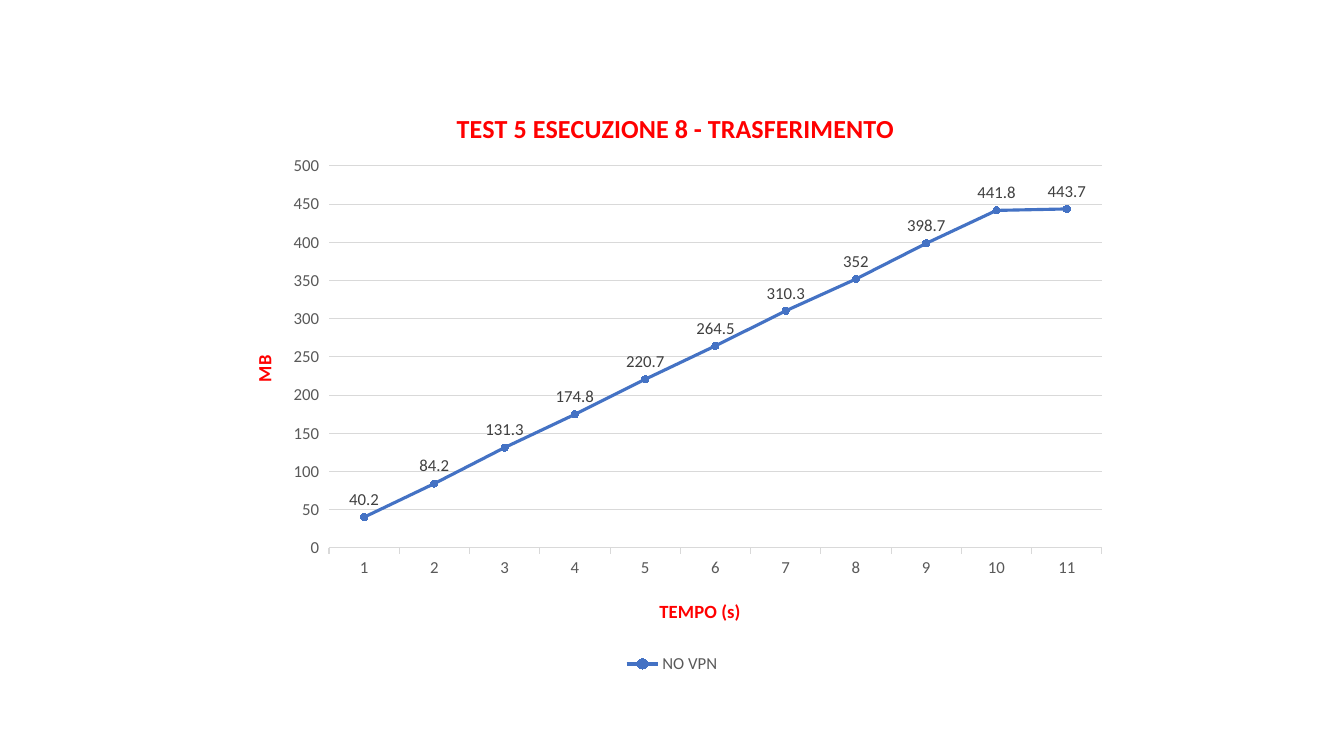
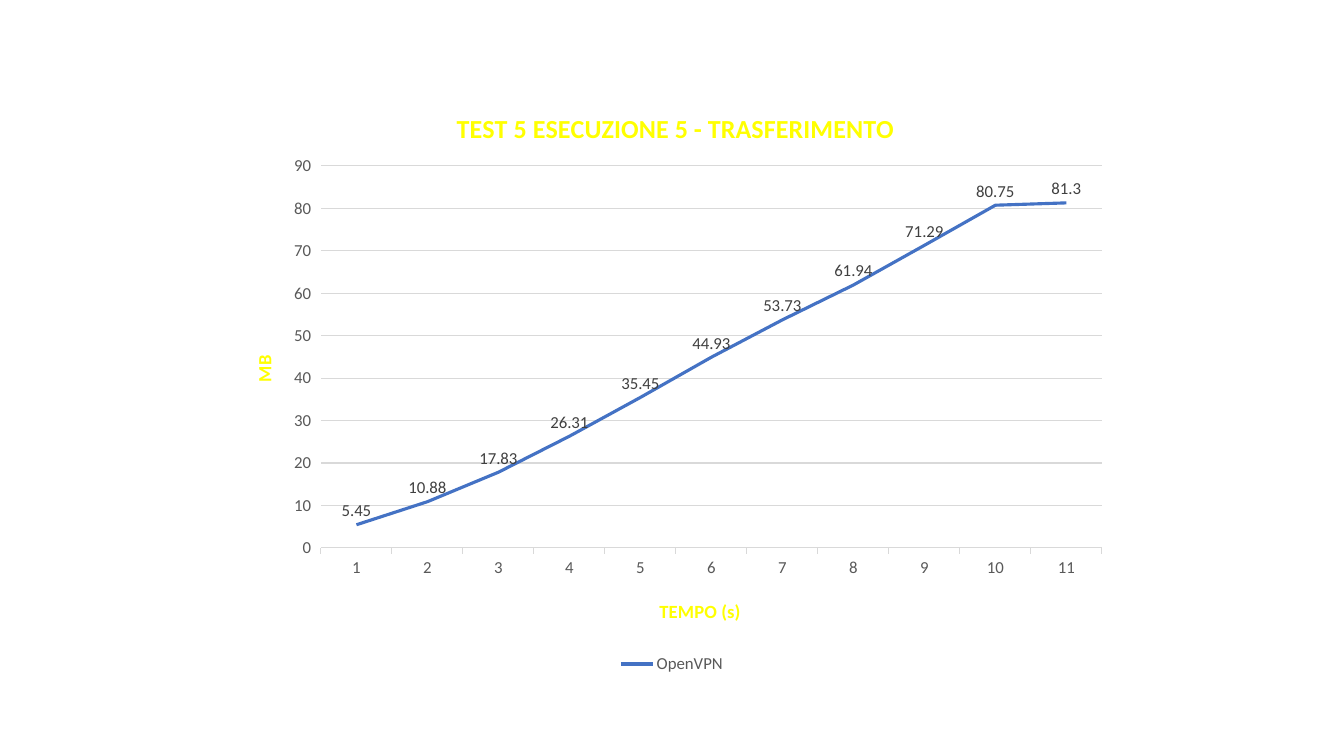
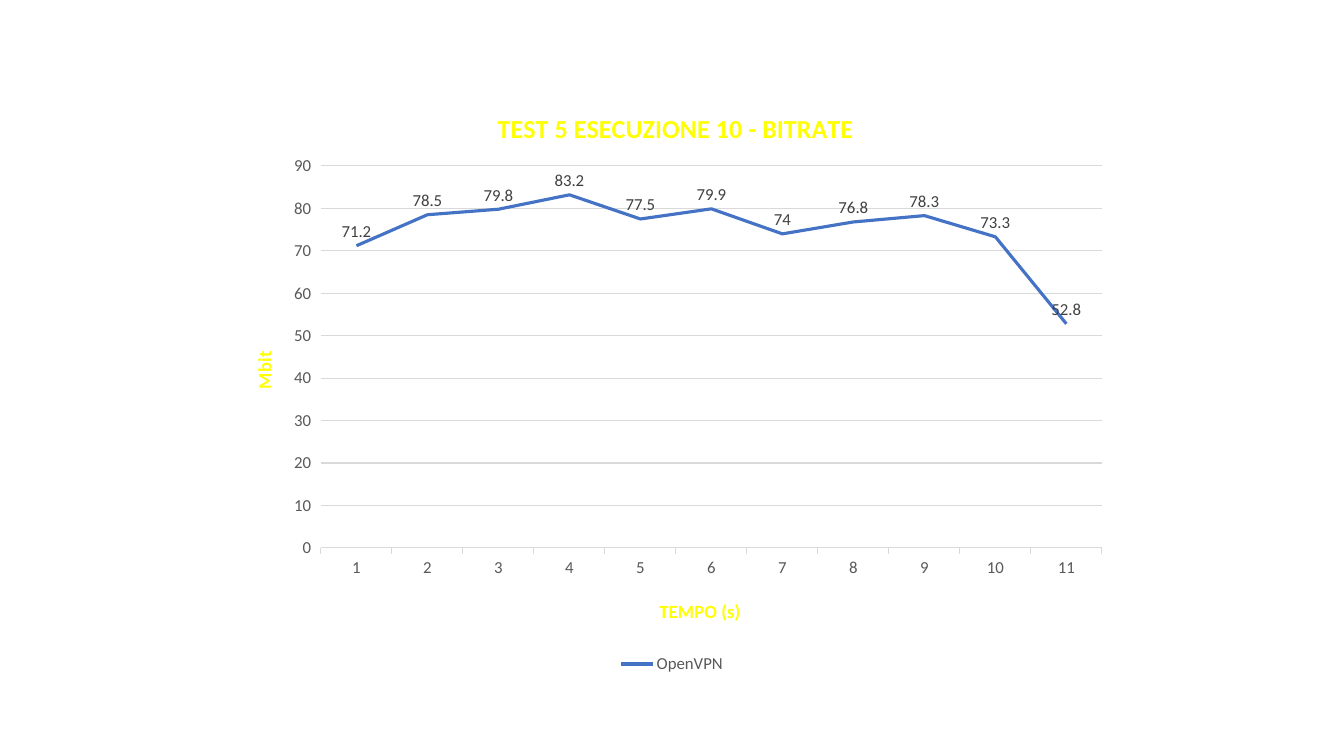
from lxml import etree
from pptx import Presentation
from pptx.chart.data import CategoryChartData
from pptx.dml.color import RGBColor
from pptx.enum.chart import (XL_CHART_TYPE, XL_LABEL_POSITION,
                             XL_LEGEND_POSITION, XL_MARKER_STYLE, XL_TICK_MARK)
from pptx.oxml.ns import qn
from pptx.util import Emu, Pt

LINE = XL_CHART_TYPE.LINE
DOTS = XL_CHART_TYPE.LINE_MARKERS
ABOVE = XL_LABEL_POSITION.ABOVE
BOTTOM = XL_LEGEND_POSITION.BOTTOM
CIRCLE = XL_MARKER_STYLE.CIRCLE
OUT = XL_TICK_MARK.OUTSIDE

# Shared look; lengths in px
SCALE = 914400 / 100.8
LEFT, TOP, WIDE, HIGH = 224, 80, 896, 598
RIGHT, ROOF, FLOOR = 1102, 166, 548
BLUE, GRID, GREY, DARK = "4472C4", "D9D9D9", "595959", "404040"
RED, GOLD = "FF0000", "FFFF00"
FONT = "Calibri"


def style(font, hue, size, bold=False):
    look = {"name": FONT, "size": Pt(size), "bold": bold}
    for key, val in look.items():
        setattr(font, key, val)
    font.color.rgb = RGBColor.from_string(hue)


def place(node, slot, x, y, right=None, base=None):
    """Pin a chart part at slide px; right and base also fix its size."""
    for old in node.findall(qn("c:layout")):
        node.remove(old)
    lay = etree.Element(qn("c:layout"))
    node.insert(slot, lay)
    man = etree.SubElement(lay, qn("c:manualLayout"))
    vals = {"xMode": "edge", "yMode": "edge",
            "x": (x - LEFT) / WIDE, "y": (y - TOP) / HIGH}
    if right:
        vals = {"layoutTarget": "inner", **vals,
                "w": (right - x) / WIDE, "h": (base - y) / HIGH}
    for key, val in vals.items():
        etree.SubElement(man, qn("c:" + key)).set("val", str(val))


# Kind, hue, title and its left, unit and its top, plot left, top value, step,
# series name, values
SLIDES = [
    (DOTS, RED, "TEST 5 ESECUZIONE 8 - TRASFERIMENTO", 452, "MB", 352, 329,
     500, 50, "NO VPN",
     [40.2, 84.2, 131.3, 174.8, 220.7, 264.5, 310.3, 352, 398.7, 441.8, 443.7]),
    (LINE, GOLD, "TEST 5 ESECUZIONE 5 - TRASFERIMENTO", 452, "MB", 352, 321,
     90, 10, "OpenVPN",
     [5.45, 10.88, 17.83, 26.31, 35.45, 44.93, 53.73, 61.94, 71.29, 80.75,
      81.3]),
    (LINE, GOLD, "TEST 5 ESECUZIONE 10 - BITRATE", 493, "Mbit", 348, 321,
     90, 10, "OpenVPN",
     [71.2, 78.5, 79.8, 83.2, 77.5, 79.9, 74, 76.8, 78.3, 73.3, 52.8]),
]

deck = Presentation()
deck.slide_width, deck.slide_height = Emu(12192000), Emu(6858000)

for (kind, hue, head, head_x, unit, unit_y, plot_x,
     peak, step, name, vals) in SLIDES:
    slide = deck.slides.add_slide(deck.slide_layouts[6])
    data = CategoryChartData()
    data.categories = [str(n + 1) for n in range(len(vals))]
    data.add_series(name, vals)
    box = [Emu(round(n * SCALE)) for n in (LEFT, TOP, WIDE, HIGH)]
    chart = slide.shapes.add_chart(kind, *box, data).chart
    style(chart.font, "000000", 10)
    cat, val = chart.category_axis, chart.value_axis

    # Titles
    chart.has_title = cat.has_title = val.has_title = True
    for title, text, size, x, y in (
            (chart.chart_title, head, 18.62, head_x, 105),
            (cat.axis_title, "TEMPO (s)", 13.3, 656, 595),
            (val.axis_title, unit, 13.3, 248, unit_y)):
        para = title.text_frame.paragraphs[0]
        run = para.add_run()
        run.text = text
        style(run.font, hue, size, True)
        place(title._element, 1, x, y)
    turn = val.axis_title.text_frame._txBody.bodyPr
    turn.set("rot", "-5400000")
    turn.set("vert", "horz")

    # Axes and plot
    for axis in (cat, val):
        axis.major_tick_mark = OUT
        style(axis.tick_labels.font, GREY, 12)
    val.minimum_scale, val.maximum_scale, val.major_unit = 0, peak, step
    val.format.line.fill.background()
    for line in (cat.format.line, val.major_gridlines.format.line):
        line.color.rgb = RGBColor.from_string(GRID)
        line.width = Pt(0.75)
    place(chart._chartSpace.chart.plotArea, 0, plot_x, ROOF, RIGHT, FLOOR)

    # Legend
    chart.has_legend = True
    chart.legend.position = BOTTOM
    chart.legend.include_in_layout = False
    style(chart.legend.font, GREY, 12)

    # Series
    plot = chart.plots[0]
    plot.vary_by_categories = False
    row = plot.series[0]
    row.smooth = False
    row.format.line.color.rgb = RGBColor.from_string(BLUE)
    row.format.line.width = Pt(2.25)
    if kind == DOTS:
        row.marker.style, row.marker.size = CIRCLE, 5
        row.marker.format.fill.solid()
        row.marker.format.fill.fore_color.rgb = RGBColor.from_string(BLUE)
        row.marker.format.line.color.rgb = RGBColor.from_string(BLUE)
    tags = row.data_labels
    tags.show_value, tags.position = True, ABOVE
    style(tags.font, DARK, 12)

deck.save("out.pptx")
